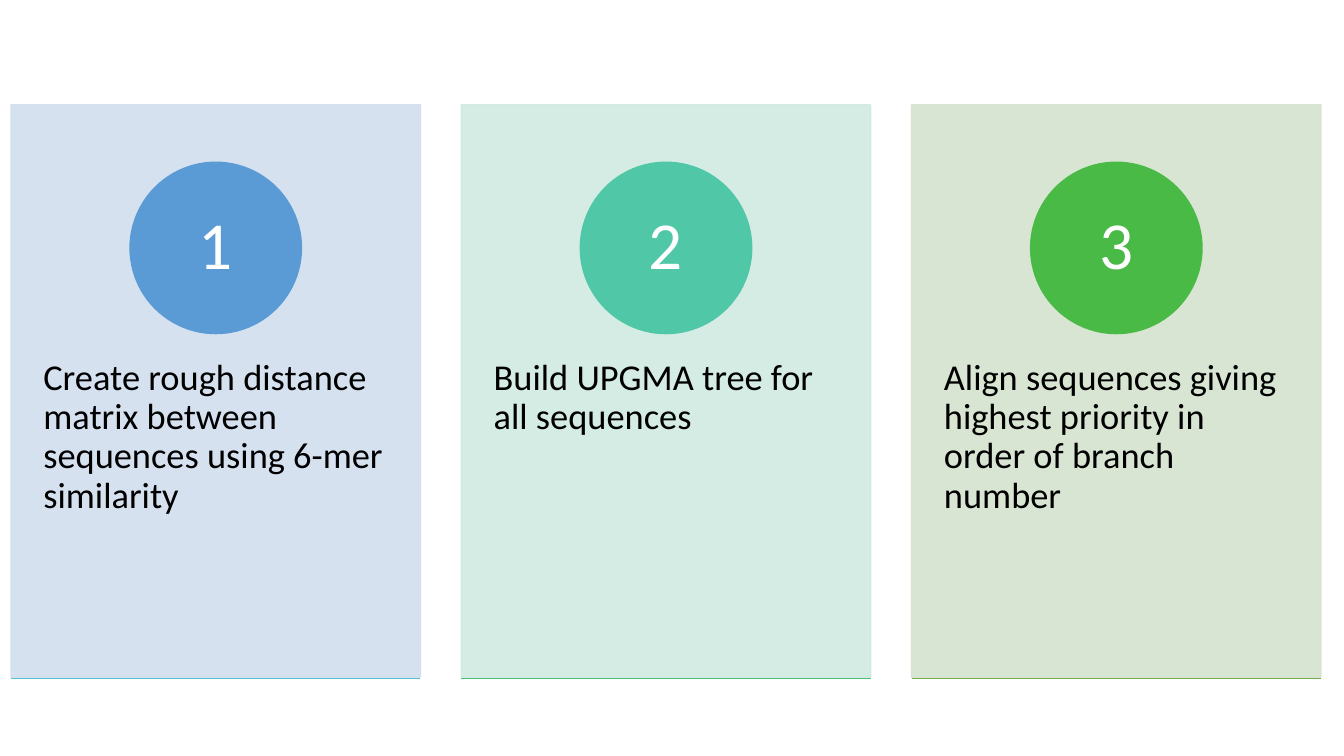
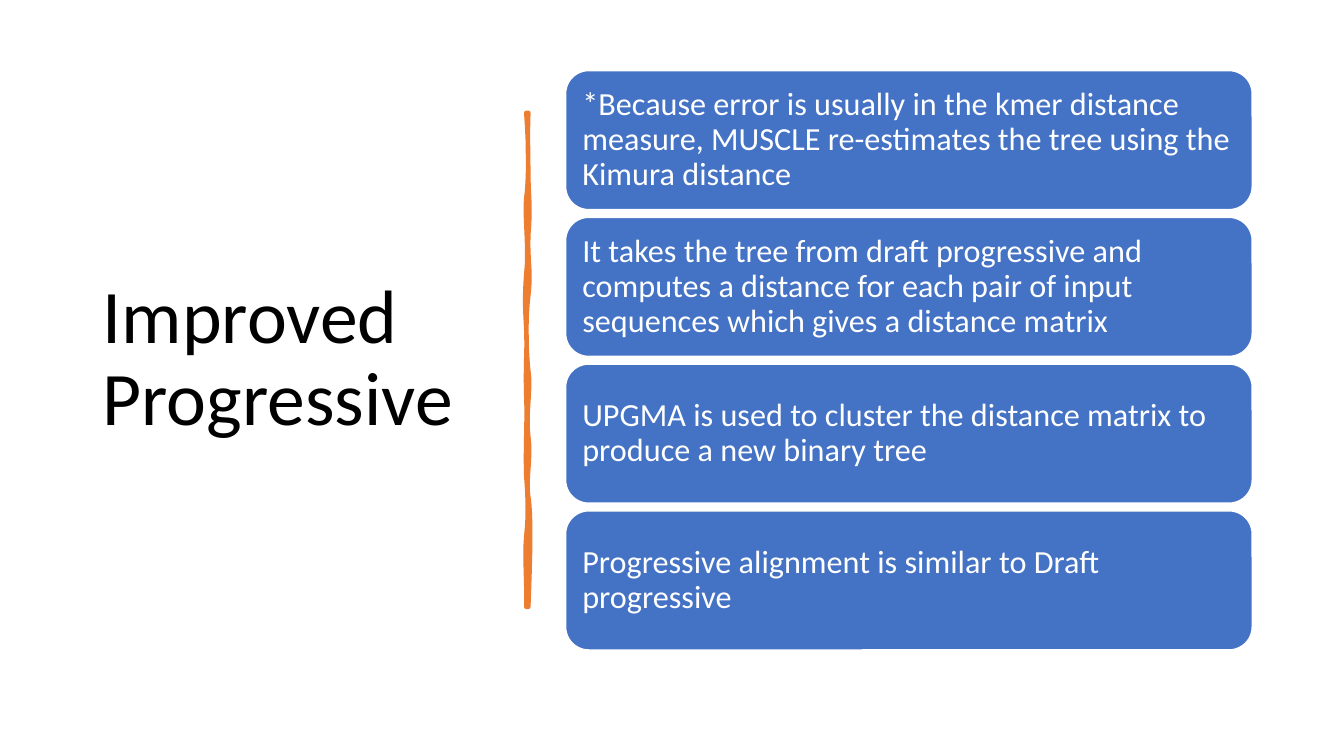
from lxml.etree import SubElement
from pptx import Presentation
from pptx.dml.color import RGBColor
from pptx.enum.shapes import MSO_CONNECTOR, MSO_SHAPE
from pptx.enum.text import MSO_ANCHOR, MSO_AUTO_SIZE, PP_ALIGN
from pptx.oxml.ns import qn
from pptx.util import Inches, Pt

# Content: card text, card colour, number colour, base line colour
STEPS = [
    ("Create rough distance matrix between sequences using 6-mer similarity",
     "D2DEEF", "5B9BD5", "55C3CF"),
    ("Build UPGMA tree for all sequences",
     "D0EAE1", "50C8A7", "4BC174"),
    ("Align sequences giving highest priority in order of branch number",
     "D5E3CF", "4ABA46", "70AD47"),
]
TITLE = "Improved Progressive"
POINTS = [
    "*Because error is usually in the kmer distance measure, MUSCLE "
    "re-estimates the tree using the Kimura distance",
    "It takes the tree from draft progressive and computes a distance for "
    "each pair of input sequences which gives a distance matrix",
    "UPGMA is used to cluster the distance matrix to produce a new binary tree",
    "Progressive alignment is similar to Draft progressive",
]

# Divider edges: a start point, then two handles and an end for each curve
RIGHT_EDGE = [
    (5.24, 1.12), (5.23, 1.42), (5.24, 1.49), (5.24, 1.77),
    (5.25, 2.06), (5.26, 2.07), (5.24, 2.33), (5.23, 2.59), (5.27, 2.69), (5.24, 2.93),
    (5.21, 3.17), (5.22, 3.5), (5.24, 3.68), (5.27, 3.86), (5.21, 4.1), (5.24, 4.33),
    (5.27, 4.56), (5.21, 4.76), (5.24, 4.93), (5.27, 5.11), (5.26, 5.51), (5.24, 6.02),
]
LEFT_EDGE = [
    (5.22, 6.02), (5.23, 5.84), (5.2, 5.53), (5.22, 5.32),
    (5.24, 5.12), (5.24, 5), (5.22, 4.72), (5.21, 4.44), (5.23, 4.22), (5.22, 3.92),
    (5.21, 3.63), (5.23, 3.47), (5.22, 3.27), (5.21, 3.07), (5.2, 2.97), (5.22, 2.72),
    (5.25, 2.47), (5.2, 2.12), (5.22, 1.97), (5.24, 1.82), (5.25, 1.52), (5.22, 1.12),
]

# Shared style
FONT, BLACK, WHITE = "Calibri", "000000", "FFFFFF"
BLUE, ORANGE = "4472C4", "ED7D31"
LINE_SPACING = 0.9


def colour(hex_code):
    return RGBColor.from_string(hex_code)


def set_all(target, values):
    for name, value in values.items():
        setattr(target, name, value)


def paint(shape, fill, line, width=1, opacity=None):
    shape.shadow.inherit = False
    shape.fill.solid()
    shape.fill.fore_color.rgb = colour(fill)
    shape.line.color.rgb = colour(line)
    shape.line.width = Pt(width)
    if opacity:
        for srgb in shape._element.spPr.iter(qn("a:srgbClr")):
            SubElement(srgb, qn("a:alpha"), val=str(opacity * 1000))


def write(shape, text, size, ink, margins, anchor=MSO_ANCHOR.MIDDLE, align=PP_ALIGN.LEFT):
    frame = shape.text_frame
    frame.text = text
    left_right, top, bottom = (Inches(m) for m in margins)
    set_all(frame, {
        "word_wrap": True, "auto_size": MSO_AUTO_SIZE.NONE, "vertical_anchor": anchor,
        "margin_left": left_right, "margin_right": left_right,
        "margin_top": top, "margin_bottom": bottom,
    })
    paragraph = frame.paragraphs[0]
    set_all(paragraph, {"alignment": align, "line_spacing": LINE_SPACING})
    font = paragraph.runs[0].font
    set_all(font, {"name": FONT, "size": Pt(size)})
    font.color.rgb = colour(ink)


def add_box(slide, kind, left, top, width, height):
    return slide.shapes.add_shape(
        kind, Inches(left), Inches(top), Inches(width), Inches(height))


def sample_curves(edge, steps=8):
    """Points along the chained cubic curves of one divider edge."""
    yield edge[0]
    for i in range(0, len(edge) - 1, 3):
        a, b, c, d = edge[i:i + 4]
        for t in (n / steps for n in range(1, steps + 1)):
            u = 1 - t
            yield tuple(u**3 * a[k] + 3 * u * u * t * b[k] + 3 * u * t * t * c[k]
                        + t**3 * d[k] for k in (0, 1))


def build_steps(prs):
    slide = prs.slides.add_slide(prs.slide_layouts[6])
    left, top, width, height = 0.11, 1.04, 4.06, 5.68
    pitch, disc_size, disc_top = width * 1.1, 1.7, 1.61
    for i, (text, card_fill, disc_fill, base_ink) in enumerate(STEPS):
        x = left + i * pitch
        # Card
        card = add_box(slide, MSO_SHAPE.RECTANGLE, x, top, width, height)
        paint(card, card_fill, card_fill, opacity=90)
        write(card, text, 26, BLACK, (0.32, 2.52, 0.36), MSO_ANCHOR.TOP)
        # Number disc
        disc = add_box(slide, MSO_SHAPE.OVAL, x + (width - disc_size) / 2,
                       disc_top, disc_size, disc_size)
        paint(disc, disc_fill, disc_fill)
        write(disc, str(i + 1), 48, WHITE, (0.1, 0.01, 0.01), align=PP_ALIGN.CENTER)
        # Base line
        y = Inches(top + height + 0.01)
        base = slide.shapes.add_connector(
            MSO_CONNECTOR.STRAIGHT, Inches(x), y, Inches(x + width), y)
        base.line.color.rgb = colour(base_ink)
        base.line.width = Pt(1)
        SubElement(base._element.spPr, qn("a:effectLst"))


def build_improved(prs):
    slide = prs.slides.add_slide(prs.slide_layouts[5])
    # Title
    title = slide.shapes.title
    set_all(title, {"left": Inches(0.92), "top": Inches(0.6),
                    "width": Inches(3.94), "height": Inches(5.94)})
    write(title, TITLE, 54, BLACK, (0.1, 0.05, 0.05))
    # Hand-drawn divider
    outline = [(Inches(x), Inches(y)) for edge in (RIGHT_EDGE, LEFT_EDGE)
               for x, y in sample_curves(edge)]
    builder = slide.shapes.build_freeform(*outline[0])
    builder.add_line_segments(outline[1:], close=True)
    paint(builder.convert_to_shape(), ORANGE, ORANGE, 3.25)
    # Points
    top, height, pitch = 0.7, 1.38, 1.456
    for i, text in enumerate(POINTS):
        point = add_box(slide, MSO_SHAPE.ROUNDED_RECTANGLE,
                        5.61, top + i * pitch, 6.81, height)
        paint(point, BLUE, WHITE)
        write(point, text, 23, WHITE, (0.1, 0.1, 0.1))


def main():
    prs = Presentation()
    set_all(prs, {"slide_width": Inches(13.33), "slide_height": Inches(7.5)})
    build_steps(prs)
    build_improved(prs)
    prs.save("out.pptx")


if __name__ == "__main__":
    main()
